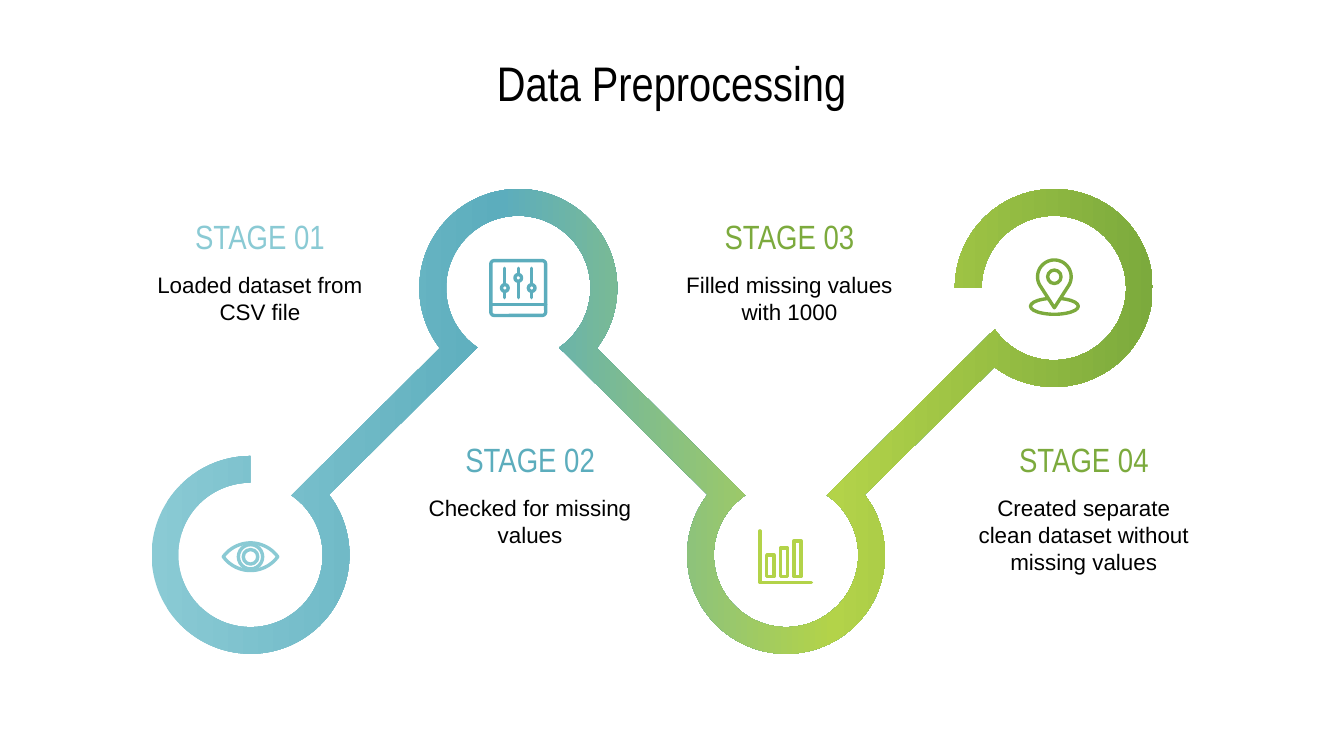
"""Build the Data Preprocessing slide: four stages joined by a winding ribbon."""
import copy
import math
from dataclasses import dataclass
from typing import Any

import pptx
import pptx.dml.color
import pptx.enum.shapes
import pptx.enum.text
import pptx.oxml
import pptx.oxml.ns
import pptx.util

Pt = pptx.util.Pt
Preset = pptx.enum.shapes.MSO_SHAPE
Point = tuple[float, float]

BLACK, WHITE = "000000", "FFFFFF"
AQUA, TEAL, LIME, GREEN = "8ACAD4", "5CADBD", "B3D349", "7CAA3D"
RIBBON_STOPS = ((0, AQUA), (0.35, TEAL), (0.68, LIME), (1, GREEN))
OUTER, INNER, DISC = 53, 38.7, 30
STROKE = 1.8
RINGS: list[Point] = [(134.2 + 143.45 * i, (297.3, 154.3)[i % 2]) for i in range(4)]


@dataclass(frozen=True)
class Stage:
    label: str
    detail: str
    left: float
    top: float
    color: str


@dataclass(frozen=True)
class Bend:
    ring: int
    radius: float
    start: float
    end: float


STAGES = (
    Stage("STAGE 01", "Loaded dataset from CSV file", 71.28, 113, AQUA),
    Stage("STAGE 02", "Checked for missing values", 216, 232.5, TEAL),
    Stage("STAGE 03", "Filled missing values with 1000", 354.96, 113, GREEN),
    Stage("STAGE 04", "Created separate clean dataset without missing values", 512.64, 232.5, GREEN),
)
BENDS = (
    Bend(3, INNER, 180, 505),
    Bend(2, INNER, -55.5, 235.5),
    Bend(1, OUTER, 37.5, -217.5),
    Bend(0, INNER, -55.5, 270),
    Bend(0, OUTER, 270, -37.5),
    Bend(1, INNER, 124.5, 415.5),
    Bend(2, OUTER, 217.5, -37.5),
    Bend(3, OUTER, 127, -180),
)


def rgb(color: str) -> pptx.dml.color.RGBColor:
    """Return the colour of a hex string."""
    return pptx.dml.color.RGBColor.from_string(color)


def arc(center: Point, radius: float, start: float, end: float) -> list[Point]:
    """Return points along a circle, angles in degrees clockwise from the right."""
    count = max(6, math.ceil(abs(end - start) / 3))
    angles = [math.radians(start + (end - start) * i / count) for i in range(count + 1)]
    return [(center[0] + radius * math.cos(a), center[1] + radius * math.sin(a)) for a in angles]


def outline(shapes: Any, points: list[Point], closed: bool = True) -> Any:
    """Add a freeform through the points."""
    corners = [(Pt(x), Pt(y)) for x, y in points]
    builder = shapes.build_freeform(*corners[0], scale=1.0)
    builder.add_line_segments(corners[1:], close=closed)
    return builder.convert_to_shape()


def paint(shape: Any, fill: str | None, stroke: str | None = None) -> None:
    """Set a flat fill and a rounded line, either of which may be absent."""
    shape.shadow.inherit = False
    if fill:
        shape.fill.solid()
        shape.fill.fore_color.rgb = rgb(fill)
    else:
        shape.fill.background()
    paint_line(shape, stroke)


def paint_line(shape: Any, stroke: str | None) -> None:
    """Set a rounded line or remove it."""
    if stroke is None:
        shape.line.fill.background()
        return
    shape.line.color.rgb = rgb(stroke)
    shape.line.width = Pt(STROKE)
    shape.element.spPr.find(pptx.oxml.ns.qn("a:ln")).set("cap", "rnd")


def block(shapes: Any, preset: Any, center: Point, width: float, height: float,
          fill: str | None, stroke: str | None = None) -> Any:
    """Add a preset shape around its centre."""
    x, y = center
    shape = shapes.add_shape(preset, Pt(x - width / 2), Pt(y - height / 2), Pt(width), Pt(height))
    paint(shape, fill, stroke)
    return shape


def circle(shapes: Any, center: Point, radius: float, fill: str | None, stroke: str | None = None) -> None:
    """Add a circle."""
    block(shapes, Preset.OVAL, center, 2 * radius, 2 * radius, fill, stroke)


def segment(shapes: Any, start: Point, end: Point, color: str) -> None:
    """Add a straight line."""
    ends = [Pt(value) for value in (*start, *end)]
    line = shapes.add_connector(pptx.enum.shapes.MSO_CONNECTOR.STRAIGHT, *ends)
    paint_line(line, color)
    line.element.spPr.append(pptx.oxml.parse_xml(f"<a:effectLst {pptx.oxml.ns.nsdecls('a')}/>"))


def write(shapes: Any, text: str, box: tuple[float, float, float, float],
          font: str, size: float, color: str, centered: bool = True) -> None:
    """Add a centred line or paragraph of text."""
    frame = shapes.add_textbox(*[Pt(value) for value in box]).text_frame
    anchors = pptx.enum.text.MSO_ANCHOR
    frame_format = {
        "word_wrap": True,
        "vertical_anchor": anchors.MIDDLE if centered else anchors.TOP,
        **{f"margin_{side}": Pt(7.2) for side in ("left", "right", "top", "bottom")},
    }
    for name, value in frame_format.items():
        setattr(frame, name, value)
    paragraph = frame.paragraphs[0]
    paragraph.alignment = pptx.enum.text.PP_ALIGN.CENTER
    run = paragraph.add_run()
    run.text = text
    for name, value in {"name": font, "size": Pt(size)}.items():
        setattr(run.font, name, value)
    run.font.color.rgb = rgb(color)


def draw_ribbon(shapes: Any) -> None:
    """Draw the gradient ribbon that winds round the four rings."""
    points = [p for b in BENDS for p in arc(RINGS[b.ring], b.radius, b.start, b.end)]
    ribbon = outline(shapes, points)
    paint(ribbon, None)
    ribbon.fill.gradient()
    ribbon.fill.gradient_angle = 0
    stops = ribbon.element.spPr.find(".//" + pptx.oxml.ns.qn("a:gsLst"))
    for _ in range(len(RIBBON_STOPS) - len(stops)):
        stops.append(copy.deepcopy(stops[0]))
    for stop, (position, color) in zip(ribbon.fill.gradient_stops, RIBBON_STOPS):
        stop.position = position
        stop.color.rgb = rgb(color)


def draw_eye(shapes: Any, x: float, y: float) -> None:
    """Draw the eye of the first stage."""
    y += 1
    lids = arc((x, y + 10.7), 18.1, 216.2, 323.8) + arc((x, y - 10.7), 18.1, 36.2, 143.8)
    paint(outline(shapes, lids), None, AQUA)
    for radius in (6.5, 3.9):
        circle(shapes, (x, y), radius, None, AQUA)


def draw_sliders(shapes: Any, x: float, y: float) -> None:
    """Draw the slider panel of the second stage."""
    panel = block(shapes, Preset.ROUNDED_RECTANGLE, (x, y), 29.4, 29.4, None, TEAL)
    panel.adjustments[0] = 0.06
    segment(shapes, (x - 14.7, y + 9), (x + 14.7, y + 9), TEAL)
    for shift, knob in ((-7.2, 0), (0, -5.4), (7.2, 0)):
        segment(shapes, (x + shift, y - 10.6), (x + shift, y + 5.2), TEAL)
        circle(shapes, (x + shift, y + knob), 1.8, WHITE, TEAL)


def draw_bars(shapes: Any, x: float, y: float) -> None:
    """Draw the bar graph of the third stage."""
    axes = [(x - 14, y - 12.9), (x - 14, y + 14.8), (x + 13.6, y + 14.8)]
    paint(outline(shapes, axes, closed=False), None, LIME)
    for shift, top in ((-8.4, 0), (-1.1, -3.6), (6.2, -7.4)):
        block(shapes, Preset.RECTANGLE, (x + shift, y + (top + 11.6) / 2), 3.9, 11.6 - top, None, LIME)


def draw_pin(shapes: Any, x: float, y: float) -> None:
    """Draw the map pin of the fourth stage."""
    block(shapes, Preset.OVAL, (x + 0.3, y + 9.8), 25.6, 8.6, None, GREEN)
    head = (x + 0.3, y - 6)
    paint(outline(shapes, arc(head, 9, 148, 392) + [(head[0], y + 10.6)]), WHITE, GREEN)
    circle(shapes, head, 3.6, None, GREEN)


def main() -> None:
    """Build and save the slide."""
    deck = pptx.Presentation()
    deck.slide_width, deck.slide_height = Pt(720), Pt(405)
    shapes = deck.slides.add_slide(deck.slide_layouts[6]).shapes
    write(shapes, "Data Preprocessing", (36, 32.4, 648, 23), "Arial Narrow", 26, BLACK)
    draw_ribbon(shapes)
    for ring in RINGS:
        circle(shapes, ring, DISC, WHITE)
    for stage in STAGES:
        write(shapes, stage.detail, (stage.left, stage.top + 25.2, 136, 84.2), "Arial", 12, BLACK, False)
        write(shapes, stage.label, (stage.left, stage.top, 136, 26.6), "Arial Narrow", 18, stage.color)
    for draw, ring in zip((draw_eye, draw_sliders, draw_bars, draw_pin), RINGS):
        draw(shapes, *ring)
    deck.save("out.pptx")


if __name__ == "__main__":
    main()
